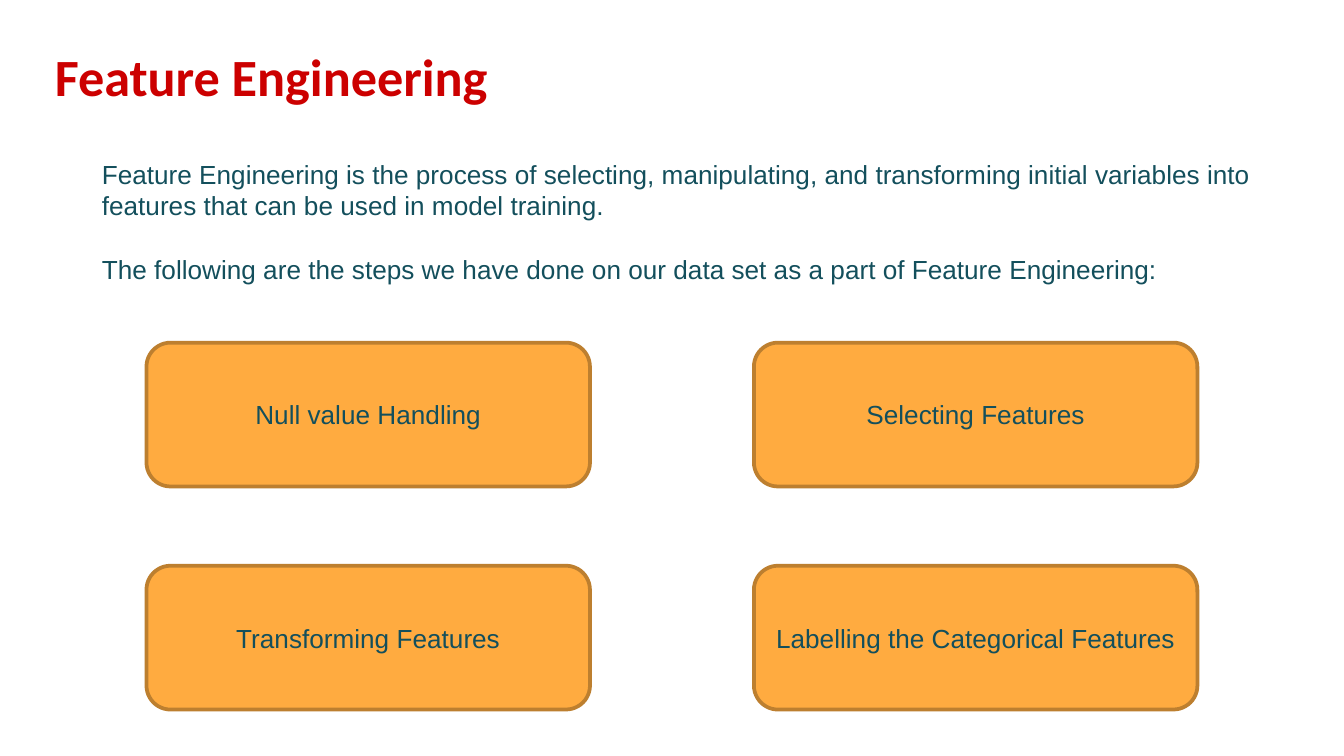
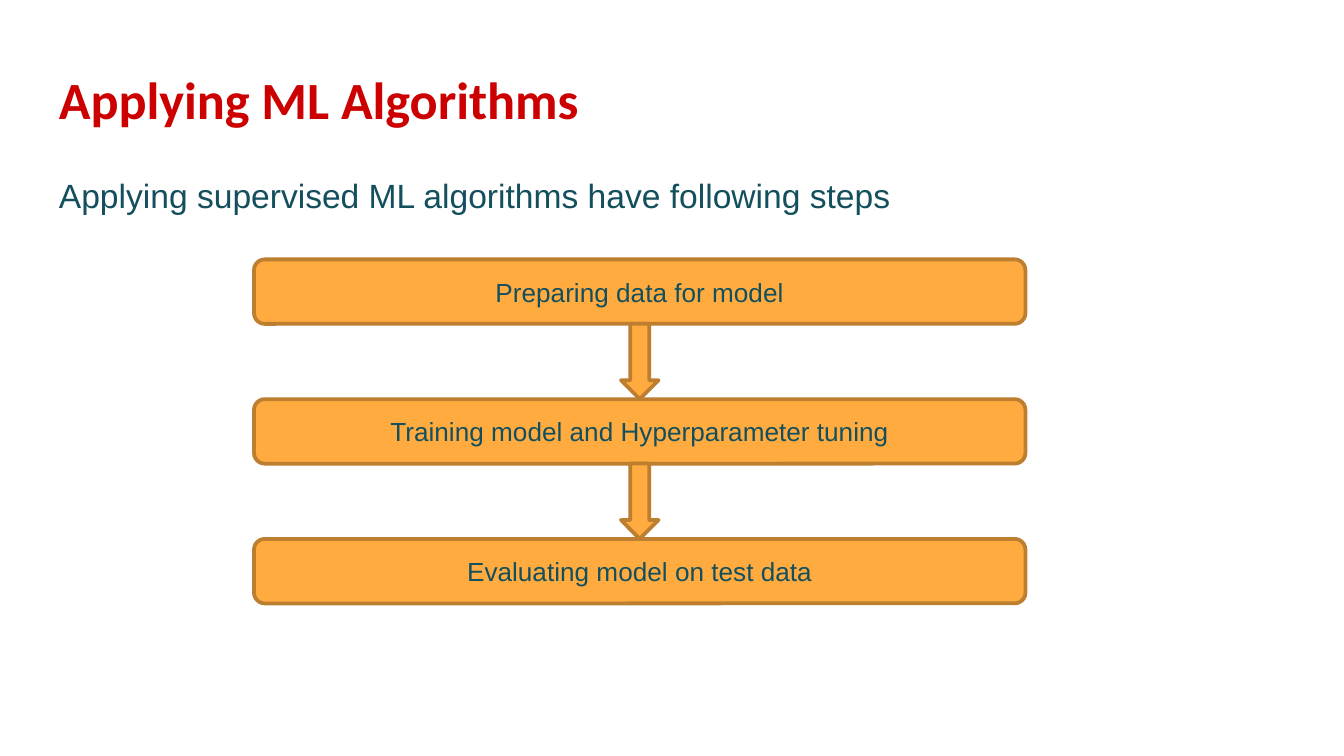
import dataclasses

import pptx
import pptx.dml.color
import pptx.enum.shapes
import pptx.enum.text
import pptx.util

Inches = pptx.util.Inches
Pt = pptx.util.Pt
MSO_SHAPE = pptx.enum.shapes.MSO_SHAPE

COLORS = {"title": "CC0000", "text": "134F5C", "fill": "FFAB40", "line": "BD7F2F"}


@dataclasses.dataclass(frozen=True)
class Box:
    left: float
    top: float
    width: float
    height: float

    def lengths(self) -> tuple:
        return tuple(Inches(v) for v in (self.left, self.top, self.width, self.height))


@dataclasses.dataclass(frozen=True)
class Style:
    size: int
    color: str = "text"
    font: str = "Arial"
    bold: bool = False


TITLE = Style(28, "title", "Calibri", True)
LEAD = Style(18)
BODY = Style(14)


def rgb(name: str) -> pptx.dml.color.RGBColor:
    return pptx.dml.color.RGBColor.from_string(COLORS[name])


def format_text(tf, style: Style) -> None:
    for p in tf.paragraphs:
        for r in p.runs:
            r.font.size = Pt(style.size)
            r.font.name = style.font
            r.font.bold = style.bold
            r.font.color.rgb = rgb(style.color)


def add_text(s, box: Box, text: str, style: Style, wrap: bool = True,
             margin: float = 0.05, gap: float = 0) -> None:
    """Add a text box; gap is the space in points before later paragraphs."""
    tf = s.shapes.add_textbox(*box.lengths()).text_frame
    tf.word_wrap = wrap
    tf.margin_top = tf.margin_bottom = Inches(margin)
    tf.text = text
    for p in tf.paragraphs[1:]:
        p.space_before = Pt(gap)
    format_text(tf, style)


def add_title(s, box: Box, text: str) -> None:
    add_text(s, box, text, TITLE, margin=0.1)


def add_block(s, kind, box: Box, text: str = "") -> None:
    """Add an orange outlined shape with an optional centred label."""
    sp = s.shapes.add_shape(kind, *box.lengths())
    sp.shadow.inherit = False
    sp.fill.solid()
    sp.fill.fore_color.rgb = rgb("fill")
    sp.line.color.rgb = rgb("line")
    sp.line.width = Pt(2)
    if text:
        tf = sp.text_frame
        tf.word_wrap = True
        tf.vertical_anchor = pptx.enum.text.MSO_ANCHOR.MIDDLE
        tf.text = text
        tf.paragraphs[0].alignment = pptx.enum.text.PP_ALIGN.CENTER
        format_text(tf, BODY)


def build_features(s) -> None:
    add_title(s, Box(0.31, 0.23, 3.61, 0.77), "Feature Engineering")
    add_text(s, Box(0.66, 1.13, 8.76, 1.04),
             "Feature Engineering is the process of selecting, manipulating, and "
             "transforming initial variables into features that can be used in "
             "model training.\n"
             "The following are the steps we have done on our data set as a part "
             "of Feature Engineering:", BODY, gap=17)

    # Two-by-two grid of steps
    steps = ("Null value Handling", "Selecting Features",
             "Transforming Features", "Labelling the Categorical Features")
    for i, step in enumerate(steps):
        row, col = divmod(i, 2)
        box = Box(1.09 + col * 4.52, 2.55 + row * 1.66, 3.3, 1.07)
        add_block(s, MSO_SHAPE.ROUNDED_RECTANGLE, box, step)


def build_algorithms(s) -> None:
    add_title(s, Box(0.34, 0.4, 4.15, 0.63), "Applying ML Algorithms")
    add_text(s, Box(0.34, 1.25, 6.46, 0.4),
             "Applying supervised ML algorithms have following steps", LEAD, wrap=False)

    # Stack of steps
    steps = ("Preparing data for model", "Training model and Hyperparameter tuning",
             "Evaluating model on test data")
    first, gap, arrow_width = Box(1.89, 1.93, 5.74, 0.48), 0.56, 0.28
    pitch = first.height + gap
    for i, step in enumerate(steps):
        box = dataclasses.replace(first, top=first.top + i * pitch)
        add_block(s, MSO_SHAPE.ROUNDED_RECTANGLE, box, step)

    # Arrows filling the gaps
    arrow_left = first.left + (first.width - arrow_width) / 2
    for i in range(len(steps) - 1):
        arrow_top = first.top + first.height + i * pitch
        add_block(s, MSO_SHAPE.DOWN_ARROW, Box(arrow_left, arrow_top, arrow_width, gap))


def main() -> None:
    prs = pptx.Presentation()
    # Widescreen, 16:9
    prs.slide_width = Inches(10)
    prs.slide_height = Inches(10 * 9 / 16)
    for build in (build_features, build_algorithms):
        build(prs.slides.add_slide(prs.slide_layouts[6]))
    prs.save("out.pptx")


if __name__ == "__main__":
    main()
